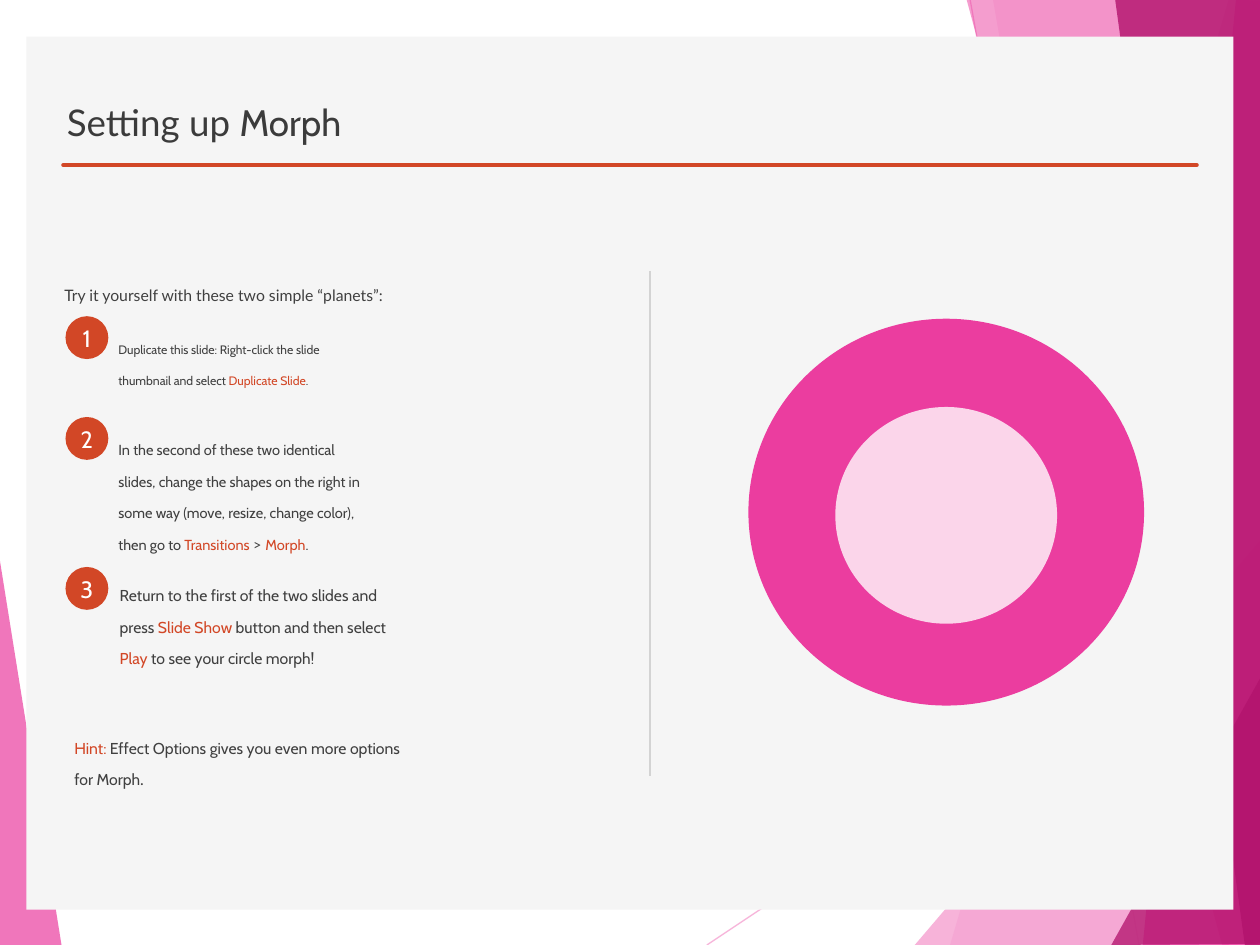
import pptx
import pptx.dml.color
import pptx.enum.shapes
import pptx.enum.text
import pptx.oxml
import pptx.oxml.ns
import pptx.util
from pptx.util import Inches

COLORS = {
    "light pink": "F496CB", "pink": "EB3D9F", "magenta": "B2136D",
    "pale pink": "FBD5EA", "panel": "F5F5F5", "accent": "D24726",
    "title": "3B3B3B", "body": "404040", "divider": "D3D3D3", "white": "FFFFFF",
}
SHAPES = pptx.enum.shapes.MSO_SHAPE
ALIGN = pptx.enum.text.PP_ALIGN


def paint(shape, color, opacity=100, line_width=None):
    """Fill a shape, or stroke a connector when line_width is given; remove its shadow."""
    if line_width is None:
        shape.shadow.inherit = False
        shape.line.fill.background()
        fill = shape.fill
        fill.solid()
    else:
        properties = shape.element.spPr
        shape.line.width = pptx.util.Pt(line_width)
        fill = shape.line.fill
        fill.solid()
        properties.append(pptx.oxml.parse_xml(
            f'<a:effectLst {pptx.oxml.ns.nsdecls("a")}/>'))
    fill.fore_color.rgb = pptx.dml.color.RGBColor.from_string(COLORS[color])
    if opacity < 100:
        rgb = shape.element.spPr.find(f".//{pptx.oxml.ns.qn('a:srgbClr')}")
        alpha = pptx.oxml.parse_xml(
            f'<a:alpha {pptx.oxml.ns.nsdecls("a")} val="{opacity * 1000}"/>')
        rgb.append(alpha)


def write(shape, runs, size, margins=(0.07, 0.04), line_spacing=None, space_after=0,
          alignment=ALIGN.LEFT):
    """Write (text, color, font) runs into the first paragraph of a shape."""
    frame = shape.text_frame
    frame.word_wrap = True
    frame.margin_left = frame.margin_right = Inches(margins[0])
    frame.margin_top = frame.margin_bottom = Inches(margins[1])
    paragraph = frame.paragraphs[0]
    paragraph.alignment = alignment
    if line_spacing:
        paragraph.line_spacing = pptx.util.Pt(line_spacing)
    paragraph.space_after = pptx.util.Pt(space_after)
    for text, color, font in runs:
        run = paragraph.add_run()
        run.text = text
        run.font.size = pptx.util.Pt(size)
        run.font.name = font
        run.font.color.rgb = pptx.dml.color.RGBColor.from_string(COLORS[color])


presentation = pptx.Presentation()
presentation.slide_width = Inches(10)
presentation.slide_height = Inches(7.5)
slide = presentation.slides.add_slide(presentation.slide_layouts[5])
shapes = slide.shapes

# Backdrop: thin rays, then translucent facets
for x1, y1, x2, y2 in [(5.61, 7.5, 10.01, 4.57), (7.7, 0, 9.04, 7.5)]:
    ray = shapes.add_connector(pptx.enum.shapes.MSO_CONNECTOR.STRAIGHT,
                               Inches(x1), Inches(y1), Inches(x2), Inches(y2))
    paint(ray, "light pink", 70, line_width=0.75)

facets = [
    ("light pink", 36, [(9.75, 0), (7.54, 7.5), (10.02, 7.51), (10.01, 0.01)]),
    ("light pink", 20, [(7.88, -0.01), (9.19, 7.5), (10.01, 7.5), (10.01, -0.01)]),
    ("light pink", 72, [(7.26, 7.5), (10, 4.29), (10.01, 7.5)]),
    ("pink", 50, [(7.67, -0.01), (9.7, 7.5), (10.01, 7.49), (10.01, -0.01)]),
    ("pink", 66, [(9.81, -0.01), (9.07, 7.5), (10.01, 7.5), (10, -0.01)]),
    ("magenta", 80, [(8.85, -0.01), (9.88, 7.5), (10.02, 7.5), (10, -0.01)]),
    ("magenta", 76, [(8.82, 7.5), (10.02, 5.35), (10.02, 7.49)]),
    ("pink", 70, [(-0.01, 4.39), (0.49, 7.51), (-0.01, 7.5)]),
]
for color, opacity, points in facets:
    corners = [(Inches(x), Inches(y)) for x, y in points]
    builder = shapes.build_freeform(*corners[0])
    builder.add_line_segments(corners[1:], close=True)
    paint(builder.convert_to_shape(), color, opacity)

panel = shapes.add_shape(SHAPES.RECTANGLE, Inches(0.21), Inches(0.29), Inches(9.58), Inches(6.93))
paint(panel, "panel")

# Title, raised above the backdrop, with its rule
title = shapes.title
title.element.getparent().append(title.element)
title.left, title.top, title.width, title.height = map(Inches, (0.43, 0.49, 5.64, 0.7))
title.text_frame.auto_size = pptx.enum.text.MSO_AUTO_SIZE.NONE
title.text_frame.vertical_anchor = pptx.enum.text.MSO_ANCHOR.BOTTOM
write(title, [("Setting up ", "title", "Lato"), ("Morph", "title", "Cabin")], 21,
      margins=(0.1, 0.05))

title_rule = shapes.add_connector(pptx.enum.shapes.MSO_CONNECTOR.STRAIGHT,
                                  Inches(0.5), Inches(1.31), Inches(9.5), Inches(1.31))
paint(title_rule, "accent", line_width=2)
title_rule.line.fill  # the stroke is already set; round its ends below
title_rule.element.spPr.find(pptx.oxml.ns.qn("a:ln")).set("cap", "rnd")

# Numbered badges
for number, top in enumerate((2.51, 3.31, 4.5), start=1):
    badge = shapes.add_shape(SHAPES.OVAL, Inches(0.52), Inches(top), Inches(0.34), Inches(0.34))
    paint(badge, "accent")
    label = shapes.add_textbox(Inches(0.46), Inches(top + 0.01), Inches(0.46), Inches(0.33))
    write(label, [(str(number), "white", "Cabin")], 13.5, margins=(0.1, 0.05),
          alignment=ALIGN.CENTER)

# Instructions: box, text size, runs
instructions = [
    ((0.44, 2.13, 4.19, 0.39), 9, [
        ("Try it yourself with these two simple “planets”:", "body", "Lato")]),
    ((0.87, 2.54, 2.04, 0.75), 7, [
        ("Duplicate this slide: Right-click the slide thumbnail and select ", "body", "Cabin"),
        ("Duplicate Slide", "accent", "Cabin"),
        (".", "body", "Cabin")]),
    ((0.87, 3.35, 2.17, 1.19), 8.3, [
        ("In the second of these two identical slides, change the shapes on the right in "
         "some way (move, resize, change color), then go to ", "body", "Cabin"),
        ("Transitions", "accent", "Cabin"),
        (" > ", "body", "Lato"),
        ("Morph", "accent", "Cabin"),
        (".", "body", "Cabin")]),
    ((0.88, 4.51, 2.28, 0.91), 9, [
        ("Return to the first of the two slides and press ", "body", "Cabin"),
        ("Slide Show ", "accent", "Cabin"),
        ("button and then select ", "body", "Cabin"),
        ("Play ", "accent", "Cabin"),
        ("to see your circle morph!", "body", "Cabin")]),
    ((0.52, 5.72, 2.83, 0.57), 9, [
        ("Hint: ", "accent", "Cabin"),
        ("Effect Options gives you even more options for Morph", "body", "Cabin"),
        (".", "body", "Lato")]),
]
for box, size, runs in instructions:
    write(shapes.add_textbox(*map(Inches, box)), runs, size, line_spacing=18, space_after=15)

# Divider and the two planets
divider = shapes.add_connector(pptx.enum.shapes.MSO_CONNECTOR.STRAIGHT,
                               Inches(5.16), Inches(2.15), Inches(5.16), Inches(6.16))
paint(divider, "divider", line_width=0.75)

for color, box in [("pink", (5.94, 2.53, 3.14, 3.07)), ("pale pink", (6.63, 3.23, 1.76, 1.72))]:
    paint(shapes.add_shape(SHAPES.OVAL, *map(Inches, box)), color)

presentation.save("out.pptx")
